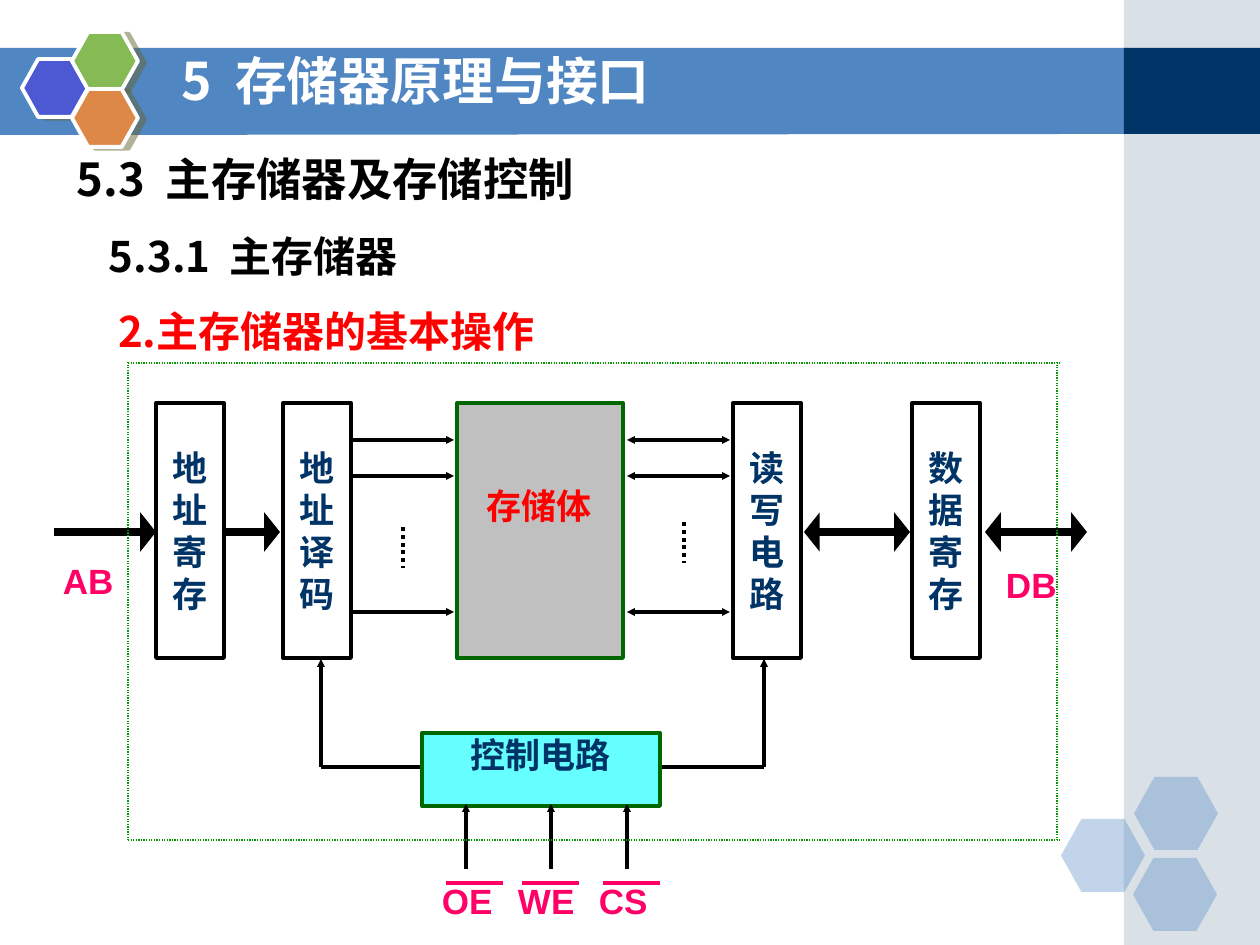
import lxml.etree
import pptx
import pptx.dml.color
import pptx.enum.dml
import pptx.enum.shapes
import pptx.enum.text
import pptx.oxml.ns
import pptx.util

SCALE = 914400 / 126
CJK = "Noto Sans CJK SC"
NAVY, PINK, RED, GREEN = "003366", "FF0066", "FF0000", "006600"
BLUE, BLACK, WHITE = "5086C2", "000000", "FFFFFF"
ALIGN = pptx.enum.text.PP_ALIGN
ANCHOR = pptx.enum.text.MSO_ANCHOR
SHAPE = pptx.enum.shapes.MSO_SHAPE
DOTS = pptx.enum.dml.MSO_LINE.ROUND_DOT


def px(n):
    return pptx.util.Emu(round(n * SCALE))


def rgb(value):
    return pptx.dml.color.RGBColor.from_string(value)


def sub(parent, tag, **attrs):
    el = lxml.etree.SubElement(parent, pptx.oxml.ns.qn(tag))
    for name, value in attrs.items():
        el.set(name, str(value))
    return el


def set_fill(sp, fill, alpha=None):
    if fill is None:
        sp.fill.background()
        return
    sp.fill.solid()
    sp.fill.fore_color.rgb = rgb(fill)
    if alpha:
        color = sp._element.spPr.find(".//" + pptx.oxml.ns.qn("a:srgbClr"))
        sub(color, "a:alpha", val=alpha * 1000)


def set_line(sp, color, width=2.25):
    if color is None:
        sp.line.fill.background()
        return
    sp.line.color.rgb = rgb(color)
    sp.line.width = pptx.util.Pt(width)


def add_shape(s, kind, box, fill=None, line=None, alpha=None):
    sp = s.shapes.add_shape(kind, *map(px, box))
    sp.shadow.inherit = False
    set_fill(sp, fill, alpha)
    set_line(sp, line)
    return sp


def add_line(s, start, end, color=BLACK, width=2.25, heads="", dash=None):
    """heads holds 'head', 'tail' or both; wide heads go on thick lines."""
    sp = s.shapes.add_connector(pptx.enum.shapes.MSO_CONNECTOR.STRAIGHT,
                                *map(px, start + end))
    set_line(sp, color, width)
    if dash:
        sp.line.dash_style = dash
    for name in heads.split():
        sub(sp.line._get_or_add_ln(), "a:%sEnd" % name, type="triangle",
            w="lg" if width > 3 else "sm", len="sm")
    sub(sp._element.spPr, "a:effectLst")


def write(sp, lines, size, color, font=CJK, align=ALIGN.LEFT, spacing=None,
          anchor=ANCHOR.TOP, inset=(13, 6)):
    tf = sp.text_frame
    mx, my = map(px, inset)
    frame = dict(word_wrap=True, auto_size=pptx.enum.text.MSO_AUTO_SIZE.NONE,
                 vertical_anchor=anchor, margin_left=mx, margin_right=mx,
                 margin_top=my, margin_bottom=my)
    for name, value in frame.items():
        setattr(tf, name, value)
    for i, text in enumerate(lines):
        p = tf.add_paragraph() if i else tf.paragraphs[0]
        pPr = p._p.get_or_add_pPr()
        pPr.set("marL", "0")
        pPr.set("indent", "0")
        sub(pPr, "a:buNone")
        para = dict(alignment=align, line_spacing=spacing, space_before=pptx.util.Pt(0))
        for name, value in para.items():
            setattr(p, name, value)
        r = p.add_run()
        r.text = text
        for name, value in dict(size=pptx.util.Pt(size), bold=True, name=font).items():
            setattr(r.font, name, value)
        r.font.color.rgb = rgb(color)
        sub(r._r.get_or_add_rPr(), "a:ea", typeface=CJK)


def label(sp, lines, color, align=ALIGN.CENTER, anchor=ANCHOR.TOP):
    write(sp, lines, 20, color, "Arial", align, pptx.util.Pt(24), anchor, (1, 1))


def place(sp, box):
    sp.left, sp.top, sp.width, sp.height = map(px, box)


def add_text(s, box):
    return s.shapes.add_textbox(*map(px, box))


def hexagons(s, x, y, size, offsets, fills, **style):
    w, h = size
    shapes = []
    for (dx, dy), fill in zip(offsets, fills):
        sp = add_shape(s, SHAPE.HEXAGON, (x + dx, y + dy, w, h), fill, **style)
        sp.adjustments[0] = 0.28
        shapes.append(sp)
    return shapes


def backdrop(s, w, h):
    # Title band and right column
    top, bottom, col = 48, 134, 1124
    fb = s.shapes.build_freeform(-1, top, SCALE)
    fb.add_line_segments([(col + 4, top), (col + 4, bottom), (-1, bottom + 1)])
    band = fb.convert_to_shape()
    band.shadow.inherit = False
    set_fill(band, BLUE)
    set_line(band, None)
    add_shape(s, SHAPE.RECTANGLE, (col, 0, w - col, h), "A0B5C4", alpha=40)
    add_shape(s, SHAPE.RECTANGLE, (col, top, w - col, bottom - top), NAVY)
    # Pale corner cluster and coloured cluster
    hexagons(s, 1061, 777, (84, 73), [(0, 42), (73, 0), (72, 81)], [BLUE] * 3, alpha=35)
    for sp in hexagons(s, 22, 32, (66, 58), [(0, 27), (50, 0), (50, 57)],
                       ["4C59D2", "85BA54", "DE8848"], line=WHITE):
        shadow = sub(sp._element.spPr.find(pptx.oxml.ns.qn("a:effectLst")),
                     "a:outerShdw", dist=pptx.util.Pt(4.1), dir=14 * 60000,
                     algn="ctr", rotWithShape=0)
        sub(sub(shadow, "a:srgbClr", val="666633"), "a:alpha", val=50000)


def headings(s):
    title, body = s.placeholders[0], s.placeholders[1]
    for sp in (title, body):
        s.shapes._spTree.append(sp._element)
    place(title, (168, 45, 924, 78))
    write(title, ["5  存储器原理与接口"], 29.6, WHITE, spacing=0.9, anchor=ANCHOR.MIDDLE)
    place(body, (64, 145, 932, 71))
    write(body, ["5.3  主存储器及存储控制"], 25.9, BLACK)
    write(add_text(s, (96, 224, 435, 71)), ["5.3.1  主存储器"], 24, BLACK)
    write(add_text(s, (105, 304, 486, 69)), ["2.主存储器的基本操作"], 24, RED,
          spacing=pptx.util.Pt(26))


def memory_diagram(s, x, y, w, h):
    def box(bx, by, bw, bh):
        return x + bx, y + by, bw, bh

    def line(x1, y1, x2, y2, **style):
        add_line(s, (x + x1, y + y1), (x + x2, y + y2), **style)

    # Storage array and the four register/circuit columns
    add_shape(s, SHAPE.RECTANGLE, box(329, 40, 166, 255), "C0C0C0", GREEN)
    label(add_text(s, box(300, 121, 222, 115)), ["存储体"], RED)
    for bx, name in [(28, "地址寄存"), (155, "地址译码"), (605, "读写电路"), (784, "数据寄存")]:
        sp = add_shape(s, SHAPE.RECTANGLE, box(bx, 40, 68, 255), line=BLACK)
        label(sp, name, NAVY, anchor=ANCHOR.MIDDLE)

    # Parallel lines on both sides of the storage array
    for ly in (77, 113, 249):
        line(224, ly, 326, ly, heads="tail")
        line(499, ly, 602, ly, heads="head tail")
    for lx, ly in [(275, 164), (556, 159)]:
        line(lx, ly, lx, ly + 41, dash=DOTS)

    # Buses
    for x1, x2, heads in [(-74, 28, "tail"), (95, 152, "tail"),
                          (676, 782, "head tail"), (857, 959, "head tail")]:
        line(x1, 169, x2, 169, width=4.5, heads=heads)
    for bx, by, name in [(-66, 195, "AB"), (877, 199, "DB")]:
        label(add_text(s, box(bx, by, 88, 79)), [name], PINK, ALIGN.JUSTIFY)

    # Control circuit with its two branches
    for lx, edge in [(193, 295), (636, 533)]:
        line(lx, 404, edge, 404)
        line(lx, 296, lx, 404, heads="head")
    sp = add_shape(s, SHAPE.RECTANGLE, box(294, 370, 238, 73), "66FFFF", GREEN)
    label(sp, ["控制电路"], NAVY)

    # Active-low control inputs
    for pin, lx, name in [(338, 313, "OE"), (423, 389, "WE"), (499, 470, "CS")]:
        line(pin, 441, pin, 506, heads="head")
        label(add_text(s, box(lx, 516, 86, 66)), [name], PINK, ALIGN.JUSTIFY)
        line(lx + 5, 520, lx + 62, 520, color=PINK)

    # Dotted chip outline
    outline = dict(color="009900", width=0.75, dash=DOTS)
    for ly in (0, h):
        line(0, ly, w, ly, **outline)
    for lx in (0, w - 3):
        line(lx, -1, lx, h, **outline)


def main():
    prs = pptx.Presentation()
    prs.slide_width, prs.slide_height = px(1260), px(945)
    s = prs.slides.add_slide(prs.slide_layouts[1])
    backdrop(s, 1260, 945)
    headings(s)
    memory_diagram(s, 128, 363, 932, 477)
    prs.save("out.pptx")


if __name__ == "__main__":
    main()
